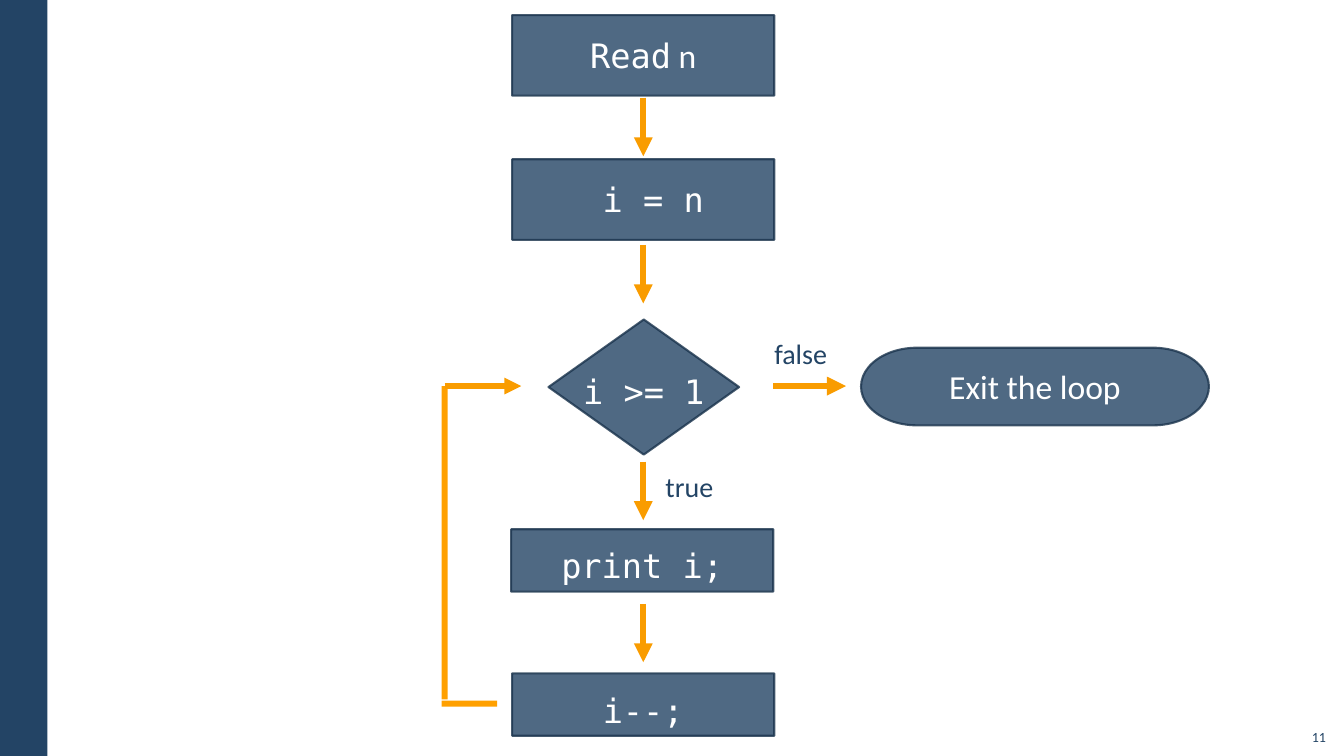
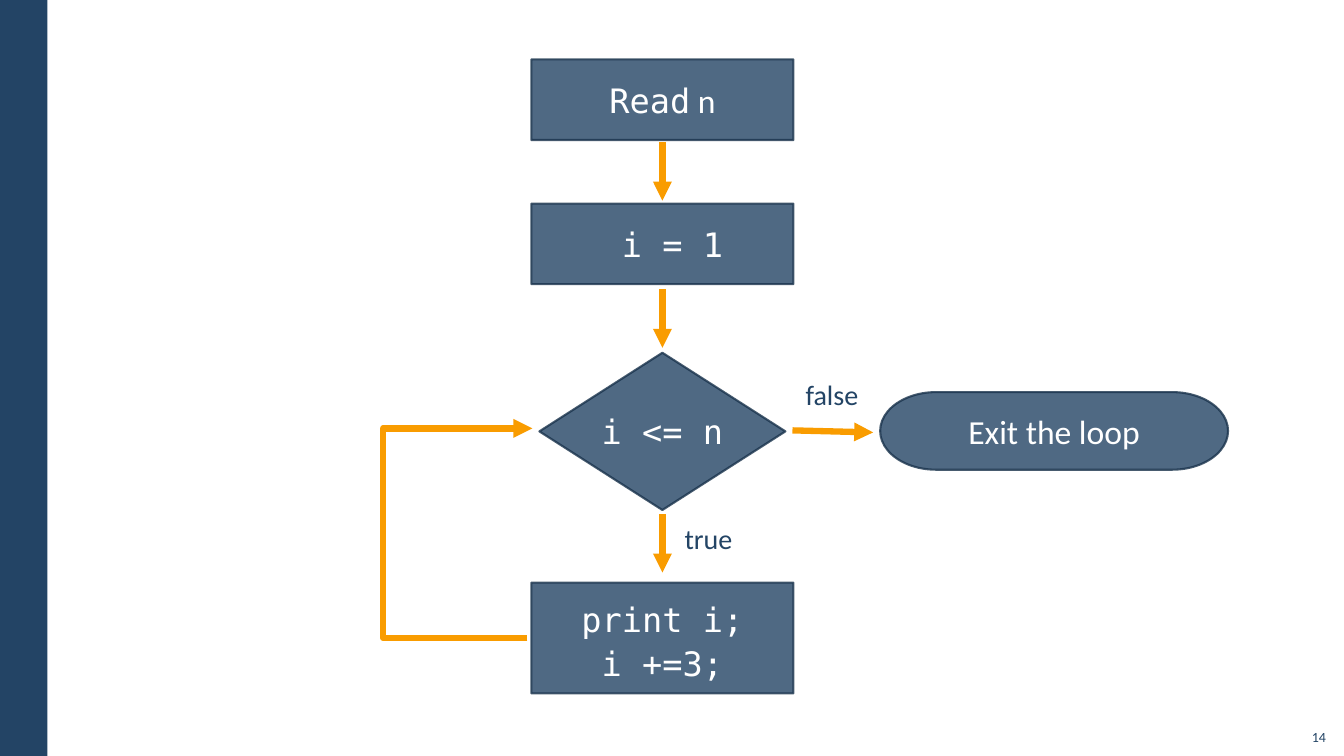
from lxml import etree
from pptx import Presentation
from pptx.dml.color import RGBColor
from pptx.enum.shapes import MSO_CONNECTOR, MSO_SHAPE
from pptx.enum.text import MSO_ANCHOR, PP_ALIGN
from pptx.oxml.ns import qn
from pptx.util import Pt

PX = 9144
COLORS = {
    "navy": "234465",
    "edge": "1A334C",
    "arrow": "F99C00",
    "bar": "FFA000",
    "white": "FFFFFF",
}
MONO, SANS = "DejaVu Sans Mono", "Calibri"
RECT, DIAMOND, PILL = (
    MSO_SHAPE.RECTANGLE,
    MSO_SHAPE.FLOWCHART_DECISION,
    MSO_SHAPE.FLOWCHART_TERMINATOR,
)
STRAIGHT, ELBOW = MSO_CONNECTOR.STRAIGHT, MSO_CONNECTOR.ELBOW
TOP, MIDDLE, BOTTOM = MSO_ANCHOR.TOP, MSO_ANCHOR.MIDDLE, MSO_ANCHOR.BOTTOM
LEFT, CENTER, RIGHT = PP_ALIGN.LEFT, PP_ALIGN.CENTER, PP_ALIGN.RIGHT

NODE_WIDTH, STEP_HEIGHT, ARROW_LENGTH = 260, 80, 58
LABEL_WIDTH, LABEL_HEIGHT = 100, 60


def px(*lengths):
    return [length * PX for length in lengths]


def rgb(name):
    return RGBColor.from_string(COLORS[name])


def fade(element):
    for color in element.iter(qn("a:srgbClr")):
        etree.SubElement(color, qn("a:alpha")).set("val", "80000")


def set_text(shape, lines, size, color, align, anchor, insets, spacing=1.0, wrap=True):
    frame = shape.text_frame
    frame.word_wrap = wrap
    frame.vertical_anchor = anchor
    (frame.margin_left, frame.margin_top,
     frame.margin_right, frame.margin_bottom) = px(*insets)
    for index, spans in enumerate(lines):
        para = frame.add_paragraph() if index else frame.paragraphs[0]
        para.alignment = align
        para.line_spacing = spacing
        for text, font in spans:
            span = para.add_run()
            span.text = text
            span.font.name = font
            span.font.size = Pt(size)
            span.font.color.rgb = rgb(color)


def add_bar(page, bounds, color):
    bar = page.shapes.add_shape(RECT, *px(*bounds))
    bar.shadow.inherit = False
    bar.fill.solid()
    bar.fill.fore_color.rgb = rgb(color)
    bar.line.fill.background()
    return bar


def add_node(page, kind, bounds, lines, anchor=MIDDLE, insets=(10, 5, 10, 5), **layout):
    node = page.shapes.add_shape(kind, *px(*bounds))
    node.shadow.inherit = False
    node.fill.solid()
    node.fill.fore_color.rgb = rgb("navy")
    node.line.color.rgb = rgb("edge")
    node.line.width = Pt(1.5)
    fade(node.element.spPr)
    set_text(node, lines, 24, "white", CENTER, anchor, insets, **layout)


def add_code(page, bounds, *code):
    add_node(page, RECT, bounds, [[(line, MONO)] for line in code],
             TOP, (16, 12, 16, 12), spacing=1.1)


def add_arrow(page, start, end, width=4.5, kind=STRAIGHT):
    arrow = page.shapes.add_connector(kind, *px(*start, *end))
    arrow.line.color.rgb = rgb("arrow")
    arrow.line.width = Pt(width)
    outline = arrow.element.spPr.find(qn("a:ln"))
    etree.SubElement(outline, qn("a:tailEnd")).set("type", "triangle")
    etree.SubElement(arrow.element.spPr, qn("a:effectLst"))
    return arrow


def add_down_arrow(page, center, top):
    add_arrow(page, (center, top), (center, top + ARROW_LENGTH))


def add_loop_arrow(page, start, end, turn):
    arrow = add_arrow(page, start, end, kind=ELBOW)
    geometry = arrow.element.spPr.find(qn("a:prstGeom"))
    values = geometry.find(qn("a:avLst"))
    if values is None:
        values = etree.SubElement(geometry, qn("a:avLst"))
    ratio = round((turn - start[0]) / (end[0] - start[0]) * 100000)
    guide = etree.SubElement(values, qn("a:gd"))
    guide.set("name", "adj1")
    guide.set("fmla", f"val {ratio}")


def add_label(page, left, top, text):
    label = page.shapes.add_textbox(*px(left, top, LABEL_WIDTH, LABEL_HEIGHT))
    set_text(label, [[(text, SANS)]], 20, "navy", LEFT, TOP,
             (16, 12, 16, 12), spacing=1.1)


def add_number(page, number):
    box = page.shapes.add_textbox(*px(1285, 712, 40, 32))
    set_text(box, [[(number, SANS)]], 10, "navy", RIGHT, BOTTOM, (10, 5, 10, 5))


def add_flow(page, left, top, start, test, diamond, drop, true_top):
    center = left + NODE_WIDTH // 2
    steps = ([("Read", MONO), (" n", SANS)], [(start, MONO)])
    for index, spans in enumerate(steps):
        add_node(page, RECT, (left, top + index * 143, NODE_WIDTH, STEP_HEIGHT), [spans])
        add_down_arrow(page, center, top + 82 + index * 146)
    diamond_top, width, height = diamond
    add_node(page, DIAMOND, (center - width // 2, diamond_top, width, height),
             [[(test, MONO)]], insets=(0, drop, 0, 0), wrap=False)
    add_down_arrow(page, center, true_top)
    add_label(page, center + 6, true_top - 8, "true")
    add_node(page, PILL, (left + 346, top + 330, 345, 77), [[("Exit the loop", SANS)]])


def add_band(deck, page):
    band = add_bar(page, (0, 0, 47, 750), "navy")
    band.element.nvSpPr.cNvPr.set("id", "100")
    deck.slide_master.shapes.element.insert(2, band.element)


def build_countdown(page):
    add_flow(page, 508, 15, " i = n", "i >= 1", (317, 189, 134), 7, 458)
    add_label(page, 752, 319, "false")
    add_arrow(page, (767, 383), (839, 383))
    add_code(page, (507, 525, NODE_WIDTH, 62), "print i;")
    add_down_arrow(page, 638, 599)
    add_code(page, (508, 668, NODE_WIDTH, 62), "i--;")
    add_bar(page, (438, 383, 6, 311), "bar")
    add_bar(page, (438, 695, 55, 6), "bar")
    add_arrow(page, (441, 383), (517, 383), 4)
    add_number(page, "11")


def build_step_three(page):
    add_flow(page, 527, 59, " i = 1", "i <= n", (350, 244, 156), 0, 510)
    add_label(page, 783, 359, "false")
    add_arrow(page, (786, 427), (866, 429))
    add_code(page, (527, 578, NODE_WIDTH, 110), "print i;", "i +=3;")
    add_loop_arrow(page, (523, 633), (528, 425), 380)
    add_number(page, "14")


def main():
    deck = Presentation()
    deck.slide_width, deck.slide_height = px(1333, 750)
    blank = deck.slide_layouts[6]
    pages = [deck.slides.add_slide(blank) for _ in range(2)]
    add_band(deck, pages[0])
    build_countdown(pages[0])
    build_step_three(pages[1])
    deck.save("out.pptx")


if __name__ == "__main__":
    main()
